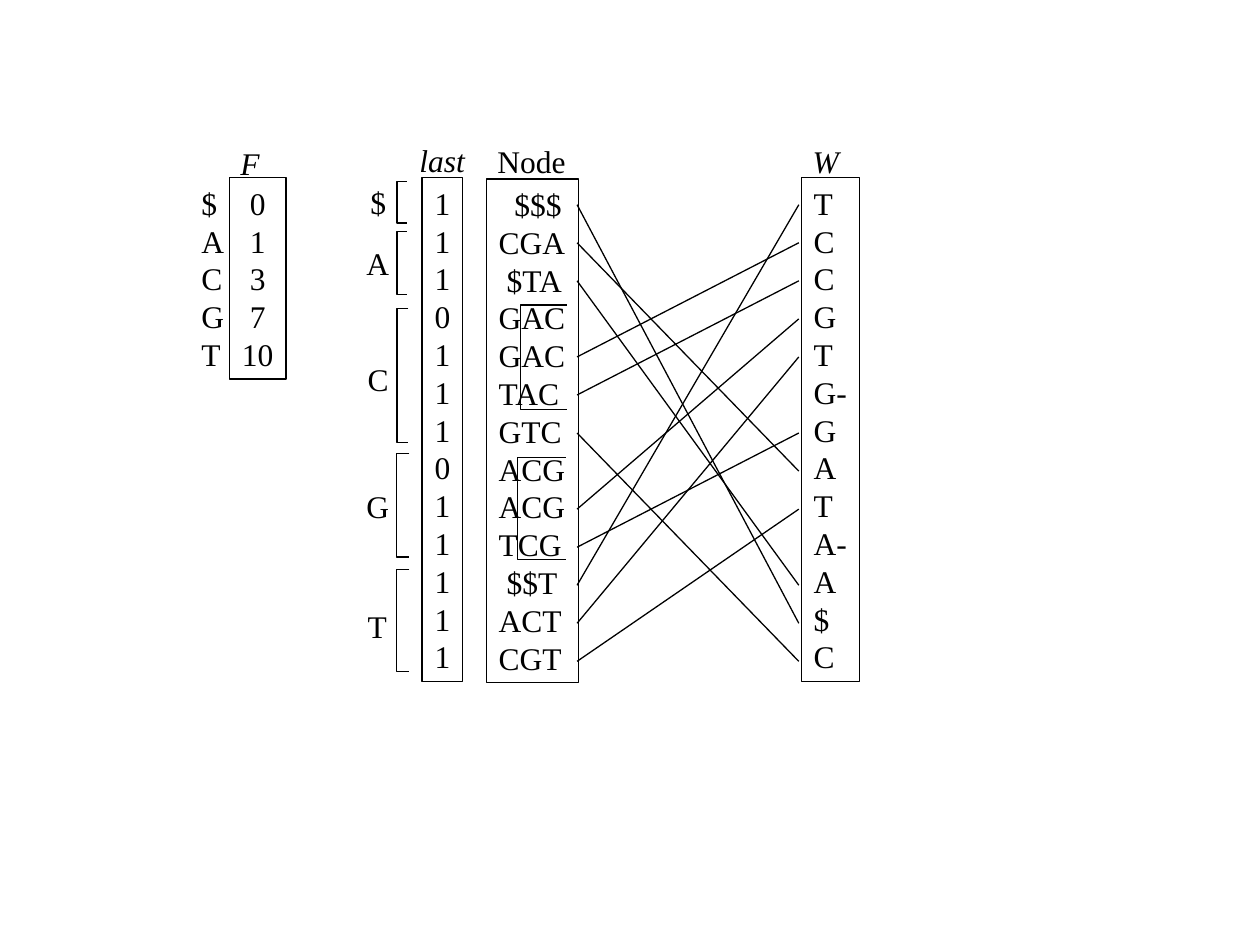
from lxml.etree import SubElement
from pptx import Presentation
from pptx.dml.color import RGBColor
from pptx.enum.shapes import MSO_CONNECTOR, MSO_SHAPE
from pptx.enum.text import MSO_ANCHOR, PP_ALIGN
from pptx.oxml.ns import qn
from pptx.util import Inches, Pt

CELL = 0.1  # inches; the slide is a grid of 100 columns by 75 rows
ROW_PITCH = 3.02
FIRST_ROW = 16.25
TABLE_TOP = 14.1

F_COUNTS = {"$": "0", "A": "1", "C": "3", "G": "7", "T": "10"}
LAST = list("1110111011111")
NODES = ["$$$", "CGA", "$TA", "GAC", "GAC", "TAC", "GTC",
         "ACG", "ACG", "TCG", "$$T", "ACT", "CGT"]
NODE_INDENTS = {0: 1.25, 2: 0.63, 10: 0.63}
W = ["T", "C", "C", "G", "T", "G-", "G", "A", "T", "A-", "A", "$", "C"]
NODE_TO_W = {0: 11, 1: 7, 2: 10, 4: 1, 5: 2, 6: 12,
             8: 3, 9: 6, 10: 0, 11: 4, 12: 8}

# label, label left, label top, label width, bracket top, bottom, arm length
SYMBOL_GROUPS = [
    ("$", 28.4, 14.0, 3.2, 14.4, 17.7, 0.8),
    ("A", 28.1, 18.9, 3.8, 18.4, 23.4, 0.8),
    ("C", 28.2, 28.1, 3.6, 24.5, 35.1, 0.9),
    ("G", 28.1, 38.2, 3.8, 36.0, 44.2, 1.0),
    ("T", 28.2, 47.7, 3.5, 45.2, 53.3, 1.0),
]
# left, top, bottom, arm length
SUFFIX_BRACKETS = [(41.3, 24.2, 32.5, 3.7), (41.1, 36.3, 44.4, 3.8)]


def cells(count):
    return Inches(count * CELL)


def colour(hex_string):
    return RGBColor.from_string(hex_string)


def write(frame, lines, size=18, italic=False, align=PP_ALIGN.LEFT, indents=None):
    """Put one paragraph per line; indents maps a line number to grid columns."""
    frame.word_wrap = False
    frame.vertical_anchor = MSO_ANCHOR.TOP
    for number, line in enumerate(lines):
        paragraph = frame.paragraphs[0] if number == 0 else frame.add_paragraph()
        paragraph.alignment = align
        paragraph.line_spacing = Pt(size * 1.2)
        if indents and number in indents:
            margin = cells(indents[number])
            paragraph._p.get_or_add_pPr().set("marL", str(int(margin)))
        run = paragraph.add_run()
        run.text = line
        run.font.name = Diagram.font
        run.font.size = Pt(size)
        run.font.italic = italic
        run.font.color.rgb = colour(Diagram.ink)


class Diagram:
    """Holds the style and the slide; all lengths are in grid cells."""
    font = "Times New Roman"
    ink = "000000"
    line_width = 0.75

    def __init__(self, slide):
        self.shapes = slide.shapes

    def outline(self, shape):
        shape.line.color.rgb = colour(self.ink)
        shape.line.width = Pt(self.line_width)

    def label(self, lines, left, top, width, height=4, **text_format):
        box = self.shapes.add_textbox(*map(cells, (left, top, width, height)))
        write(box.text_frame, lines, **text_format)

    def column(self, lines, left, top, width, height, **text_format):
        """A framed column of values."""
        frame = self.shapes.add_shape(
            MSO_SHAPE.RECTANGLE, *map(cells, (left, top, width, height)))
        frame.shadow.inherit = False
        frame.fill.background()
        self.outline(frame)
        write(frame.text_frame, lines, **text_format)

    def link(self, start, end):
        connector = self.shapes.add_connector(
            MSO_CONNECTOR.STRAIGHT, *map(cells, (*start, *end)))
        self.outline(connector)
        SubElement(connector._element.spPr, qn("a:effectLst"))

    def bracket(self, left, top, bottom, arm):
        right = cells(left + arm)
        builder = self.shapes.build_freeform(right, cells(top))
        builder.add_line_segments(
            [(cells(left), cells(top)), (cells(left), cells(bottom)),
             (right, cells(bottom))], close=False)
        shape = builder.convert_to_shape()
        shape.shadow.inherit = False
        shape.fill.background()
        self.outline(shape)


def row_middle(row):
    return FIRST_ROW + row * ROW_PITCH


def main():
    presentation = Presentation()
    presentation.slide_width, presentation.slide_height = Inches(10), Inches(7.5)
    diagram = Diagram(presentation.slides.add_slide(presentation.slide_layouts[6]))

    diagram.column(W, 63.6, TABLE_TOP, 4.6, 40)
    diagram.label(["W"], 63.5, 10.8, 4.1, italic=True)
    for node_row, w_row in NODE_TO_W.items():
        diagram.link((45.8, row_middle(node_row)), (63.4, row_middle(w_row)))

    diagram.column(NODES, 38.6, 14.2, 7.3, 40, indents=NODE_INDENTS)
    diagram.label(["Node"], 38.5, 10.8, 7.4)
    diagram.column(LAST, 33.5, TABLE_TOP, 3.2, 40)
    diagram.label(["last"], 32.3, 10.7, 5.6, italic=True)

    for symbol, left, label_top, width, top, bottom, arm in SYMBOL_GROUPS:
        diagram.label([symbol], left, label_top, width)
        diagram.bracket(31.5, top, bottom, arm)
    for suffix_bracket in SUFFIX_BRACKETS:
        diagram.bracket(*suffix_bracket)

    diagram.label(list(F_COUNTS), 15, TABLE_TOP, 3.8, 16)
    diagram.column(F_COUNTS.values(), 18.2, TABLE_TOP, 4.5, 16,
                   align=PP_ALIGN.CENTER)
    diagram.label(["F"], 18.1, 10.9, 3.5, italic=True)

    presentation.save("out.pptx")


if __name__ == "__main__":
    main()
